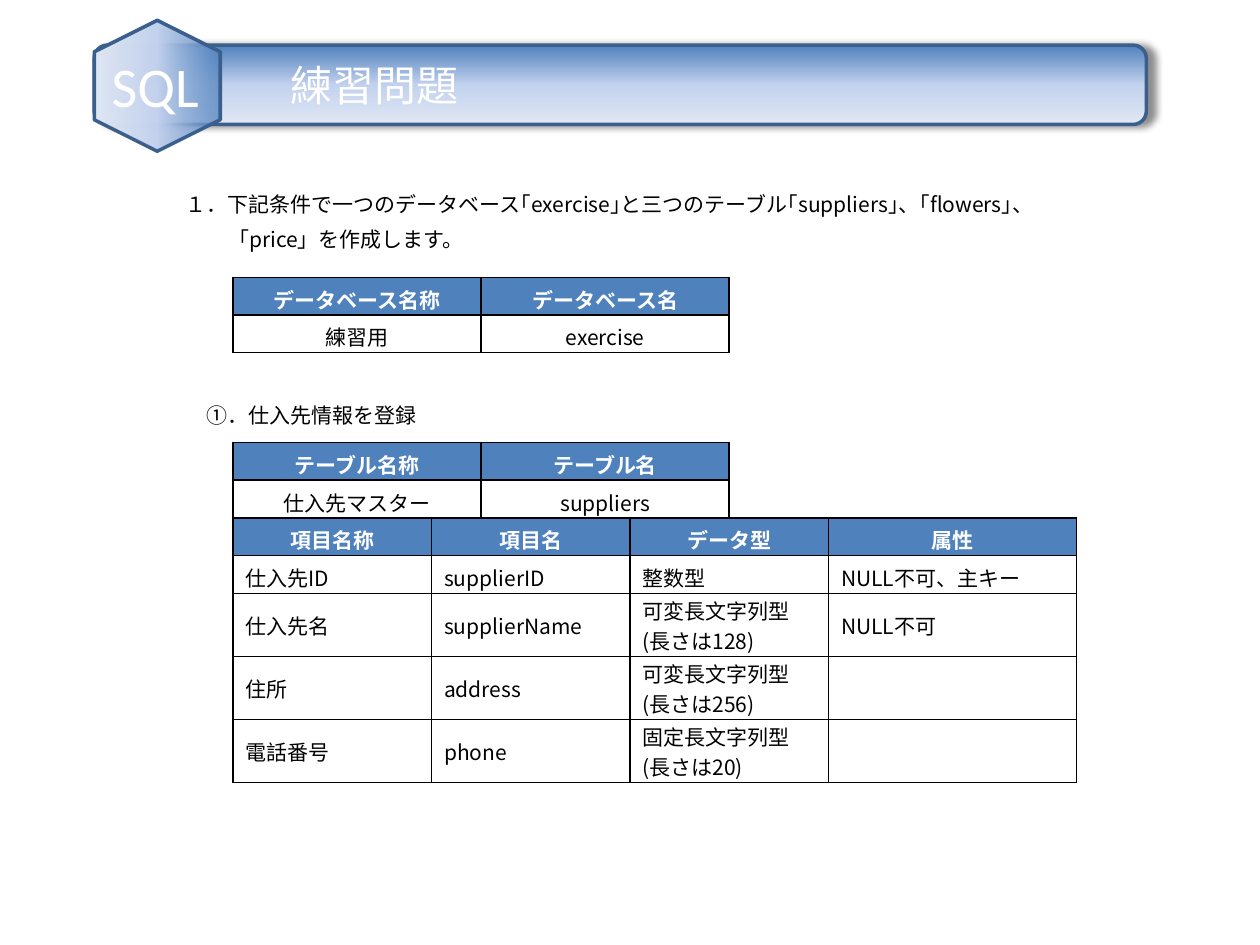
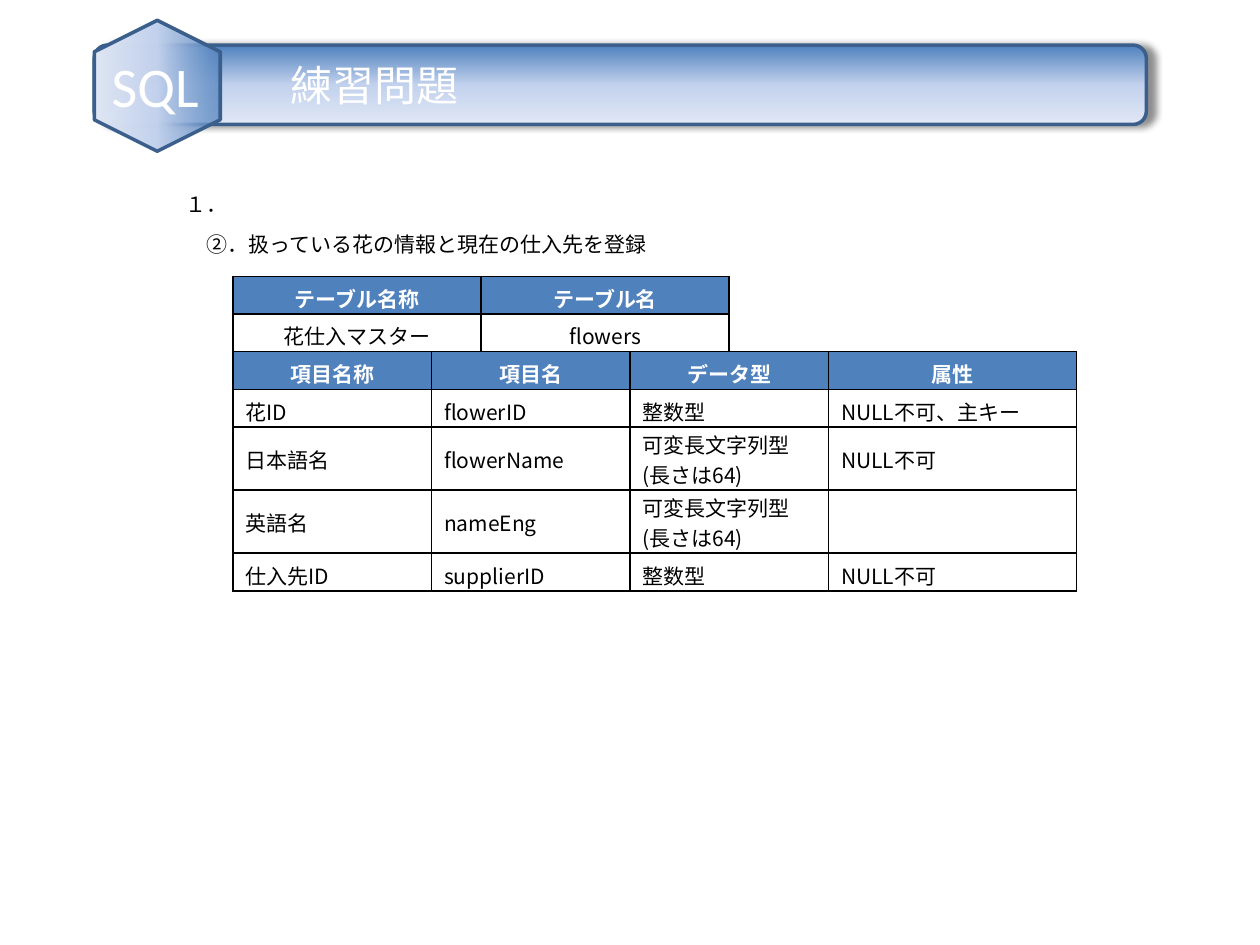
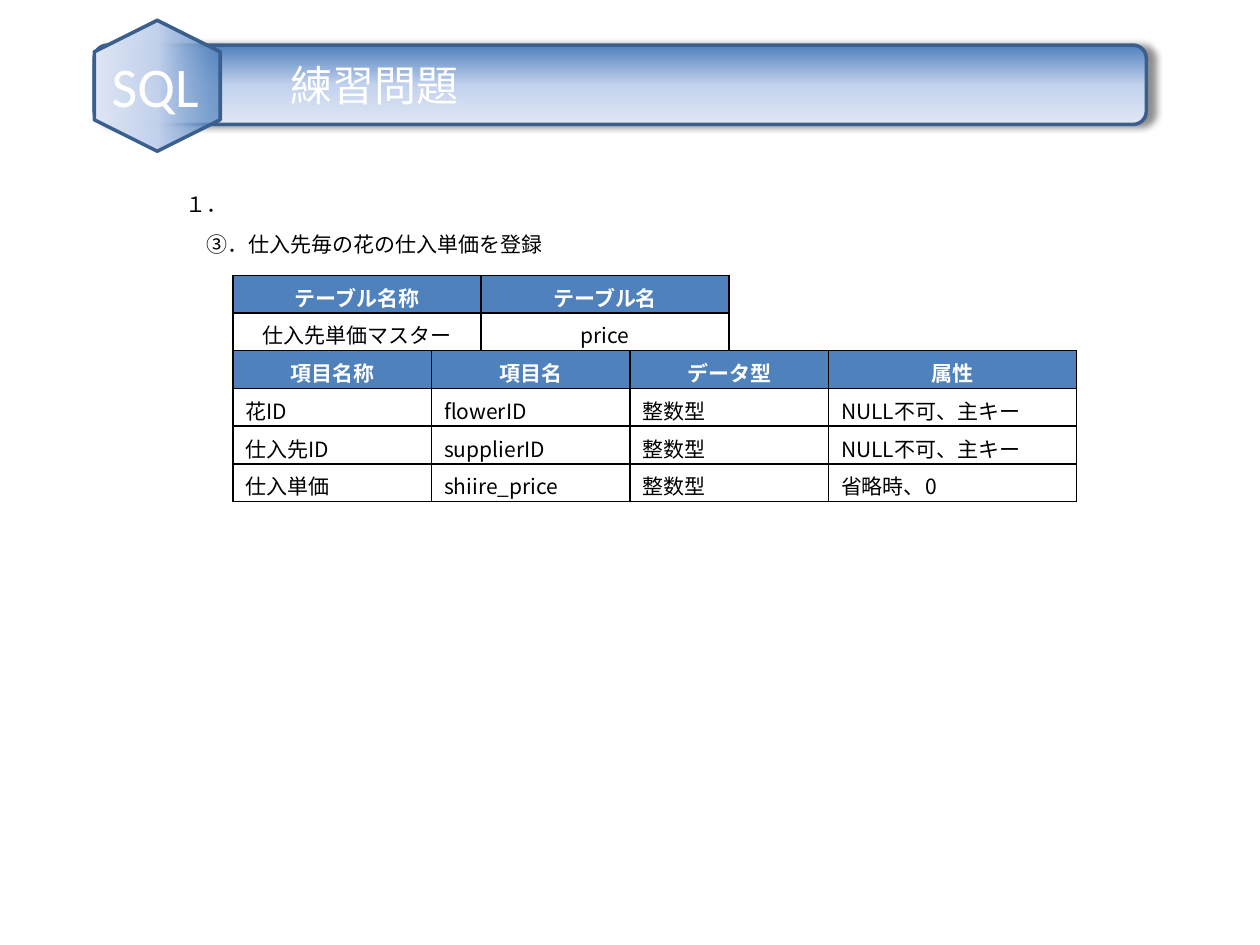
from dataclasses import dataclass

from lxml import etree
from pptx import Presentation
from pptx import util as u
from pptx.dml.color import RGBColor
from pptx.enum import shapes, text
from pptx.oxml import ns

# Content
BADGE, TITLE = "SQL", "練習問題"
NAME_HEADS = ("テーブル名称", "テーブル名")
FIELD_HEADS = ("項目名称", "項目名", "データ型", "属性")
INTEGER, KEY, REQUIRED = "整数型", "NULL不可、主キー", "NULL不可"
DATABASE = [("データベース名称", "データベース名"), ("練習用", "exercise")]

# Vertical positions are in centimetres
SLIDES = [
    dict(
        intro=["１．下記条件で一つのデータベース｢exercise｣と三つのテーブル｢suppliers｣、｢flowers｣、",
               "「price」を作成します。"],
        intro_width=18.03, database_top=5.59,
        step="①．仕入先情報を登録", step_top=8.0, step_width=4.78,
        table_top=8.92, table_name=("仕入先マスター", "suppliers"),
        fields=[("仕入先ID", "supplierID", INTEGER, KEY),
                ("仕入先名", "supplierName", "可変長文字列型(長さは128)", REQUIRED),
                ("住所", "address", "可変長文字列型(長さは256)", ""),
                ("電話番号", "phone", "固定長文字列型(長さは20)", "")]),
    dict(
        intro=["１．"], intro_width=1.37,
        step="②．扱っている花の情報と現在の仕入先を登録", step_top=4.55, step_width=9.5,
        table_top=5.57, table_name=("花仕入マスター", "flowers"),
        fields=[("花ID", "flowerID", INTEGER, KEY),
                ("日本語名", "flowerName", "可変長文字列型(長さは64)", REQUIRED),
                ("英語名", "nameEng", "可変長文字列型(長さは64)", ""),
                ("仕入先ID", "supplierID", INTEGER, REQUIRED)]),
    dict(
        intro=["１．"], intro_width=1.37,
        step="③．仕入先毎の花の仕入単価を登録", step_top=4.55, step_width=7.34,
        table_top=5.55, table_name=("仕入先単価マスター", "price"),
        fields=[("花ID", "flowerID", INTEGER, KEY),
                ("仕入先ID", "supplierID", INTEGER, KEY),
                ("仕入単価", "shiire_price", INTEGER, "省略時、0")]),
]


@dataclass(frozen=True)
class Theme:
    blue: str = "4F81BD"
    middle: str = "C2D1ED"
    pale: str = "E1E8F5"
    outline: str = "3A5F8C"
    black: str = "000000"
    white: str = "FFFFFF"
    body_font: str = "Noto Sans CJK JP"
    title_font: str = "Arial"
    badge_font: str = "Calibri"
    body_size: int = 12
    title_size: int = 24
    badge_size: int = 32


THEME = Theme()
TABLE_LEFT = 4.7
NAME_COLUMNS = (5, 5)
FIELD_COLUMNS = (4, 4, 4, 5)
ROW_HEIGHT, TALL_ROW_HEIGHT = 0.76, 1.27


def add_xml(parent, tag, **attributes):
    values = {name: str(value) for name, value in attributes.items()}
    return etree.SubElement(parent, ns.qn(tag), values)


def write(frame, *lines, font=THEME.body_font, size=THEME.body_size, color=THEME.black,
          bold=False, align=text.PP_ALIGN.LEFT, before=0, later_indent=0):
    for index, line in enumerate(lines):
        paragraph = frame.paragraphs[0] if index == 0 else frame.add_paragraph()
        paragraph.alignment = align
        paragraph.space_before = u.Pt(before)
        if index and later_indent:
            properties = paragraph._p.get_or_add_pPr()
            properties.set("marL", str(u.Cm(later_indent)))
            properties.set("indent", "0")
        if not line:
            continue
        run = paragraph.add_run()
        run.text = line
        run.font.name = font
        run.font.size = u.Pt(size)
        run.font.bold = bold
        run.font.color.rgb = RGBColor.from_string(color)
        add_xml(run._r.get_or_add_rPr(), "a:ea", typeface=font)


def add_text(slide, left, top, width, height, *lines, margin=None, **style):
    frame = slide.shapes.add_textbox(*map(u.Cm, (left, top, width, height))).text_frame
    frame.word_wrap = margin is not None
    frame.auto_size = text.MSO_AUTO_SIZE.SHAPE_TO_FIT_TEXT
    if margin is not None:
        frame.margin_left = frame.margin_right = u.Cm(margin)
        frame.margin_top = frame.margin_bottom = u.Cm(margin)
        frame.vertical_anchor = text.MSO_ANCHOR.MIDDLE
    write(frame, *lines, **style)


def add_gradient_shape(slide, kind, left, top, width, height, start_alpha=100):
    shape = slide.shapes.add_shape(kind, *map(u.Cm, (left, top, width, height)))
    shape.shadow.inherit = False
    shape.line.color.rgb = RGBColor.from_string(THEME.outline)
    shape.line.width = u.Pt(2)
    shape.fill.gradient()
    shape.fill.gradient_angle = 270
    stops = shape._element.spPr.find(".//" + ns.qn("a:gsLst"))
    for stop in list(stops):
        stops.remove(stop)
    for position, color in ((0, THEME.blue), (50, THEME.middle), (100, THEME.pale)):
        stop = add_xml(stops, "a:gs", pos=position * 1000)
        fill = add_xml(stop, "a:srgbClr", val=color)
        if position == 0 and start_alpha < 100:
            add_xml(fill, "a:alpha", val=start_alpha * 1000)
    return shape


def add_header(slide):
    # Title band with a soft shadow to the right
    band = add_gradient_shape(slide, shapes.MSO_SHAPE.ROUNDED_RECTANGLE, 1.9, 0.91, 21.21, 1.6)
    effects = band._element.spPr.find(ns.qn("a:effectLst"))
    shadow = add_xml(effects, "a:outerShdw", blurRad=u.Pt(4), dist=u.Pt(4), dir=0,
                     algn="l", rotWithShape=0)
    add_xml(add_xml(shadow, "a:srgbClr", val=THEME.black), "a:alpha", val=43000)
    frame = band.text_frame
    frame.margin_left = u.Cm(3.87)
    frame.vertical_anchor = text.MSO_ANCHOR.MIDDLE
    write(frame, TITLE, font=THEME.title_font, size=THEME.title_size, color=THEME.white)

    # Hexagon badge
    badge = add_gradient_shape(slide, shapes.MSO_SHAPE.HEXAGON, 1.85, 0.46, 2.64, 2.54,
                               start_alpha=74)
    badge.rotation = 90
    add_text(slide, 1.9, 1.04, 2.46, 1.37, BADGE, margin=0, font=THEME.badge_font,
             size=THEME.badge_size, color=THEME.white, align=text.PP_ALIGN.CENTER)


def add_borders(cell):
    properties = cell._tc.get_or_add_tcPr()
    for index, side in enumerate(("a:lnL", "a:lnR", "a:lnT", "a:lnB")):
        line = etree.Element(ns.qn(side), {"w": str(u.Pt(1))})
        add_xml(add_xml(line, "a:solidFill"), "a:srgbClr", val=THEME.black)
        properties.insert(index, line)


def add_grid(slide, top, columns, rows, center_body=False):
    tall_rows = [any("(" in value for value in row) for row in rows]
    heights = [TALL_ROW_HEIGHT if tall else ROW_HEIGHT for tall in tall_rows]
    table = slide.shapes.add_table(
        len(rows), len(columns), u.Cm(TABLE_LEFT), u.Cm(top),
        u.Cm(sum(columns)), u.Cm(sum(heights))).table
    table.horz_banding = False
    for column, width in zip(table.columns, columns):
        column.width = u.Cm(width)
    for row_index, values in enumerate(rows):
        table.rows[row_index].height = u.Cm(heights[row_index])
        header = row_index == 0
        centered = header or center_body
        for column_index, value in enumerate(values):
            cell = table.cell(row_index, column_index)
            cell.fill.solid()
            cell.fill.fore_color.rgb = RGBColor.from_string(
                THEME.blue if header else THEME.white)
            cell.vertical_anchor = text.MSO_ANCHOR.MIDDLE
            cell.margin_top = u.Cm(0.02 if tall_rows[row_index] else 0.12)
            cell.margin_bottom = 0
            write(cell.text_frame, value, bold=header,
                  color=THEME.white if header else THEME.black,
                  align=text.PP_ALIGN.CENTER if centered else text.PP_ALIGN.LEFT)
            add_borders(cell)


def add_exercise(presentation, content):
    slide = presentation.slides.add_slide(presentation.slide_layouts[6])
    add_header(slide)

    # Question and step
    add_text(slide, 3.5, 3.73, content["intro_width"], 0.76 * len(content["intro"]),
             *content["intro"], before=6, later_indent=0.85)
    add_text(slide, 3.92, content["step_top"], content["step_width"], 0.76,
             content["step"], before=6)

    # Database, table name and field tables
    if "database_top" in content:
        add_grid(slide, content["database_top"], NAME_COLUMNS, DATABASE, center_body=True)
    names = [NAME_HEADS, content["table_name"]]
    add_grid(slide, content["table_top"], NAME_COLUMNS, names, center_body=True)
    add_grid(slide, content["table_top"] + ROW_HEIGHT * len(names), FIELD_COLUMNS,
             [FIELD_HEADS, *content["fields"]])


def main():
    presentation = Presentation()
    presentation.slide_width, presentation.slide_height = u.Cm(25.4), u.Cm(19.05)
    for content in SLIDES:
        add_exercise(presentation, content)
    presentation.save("out.pptx")


if __name__ == "__main__":
    main()
